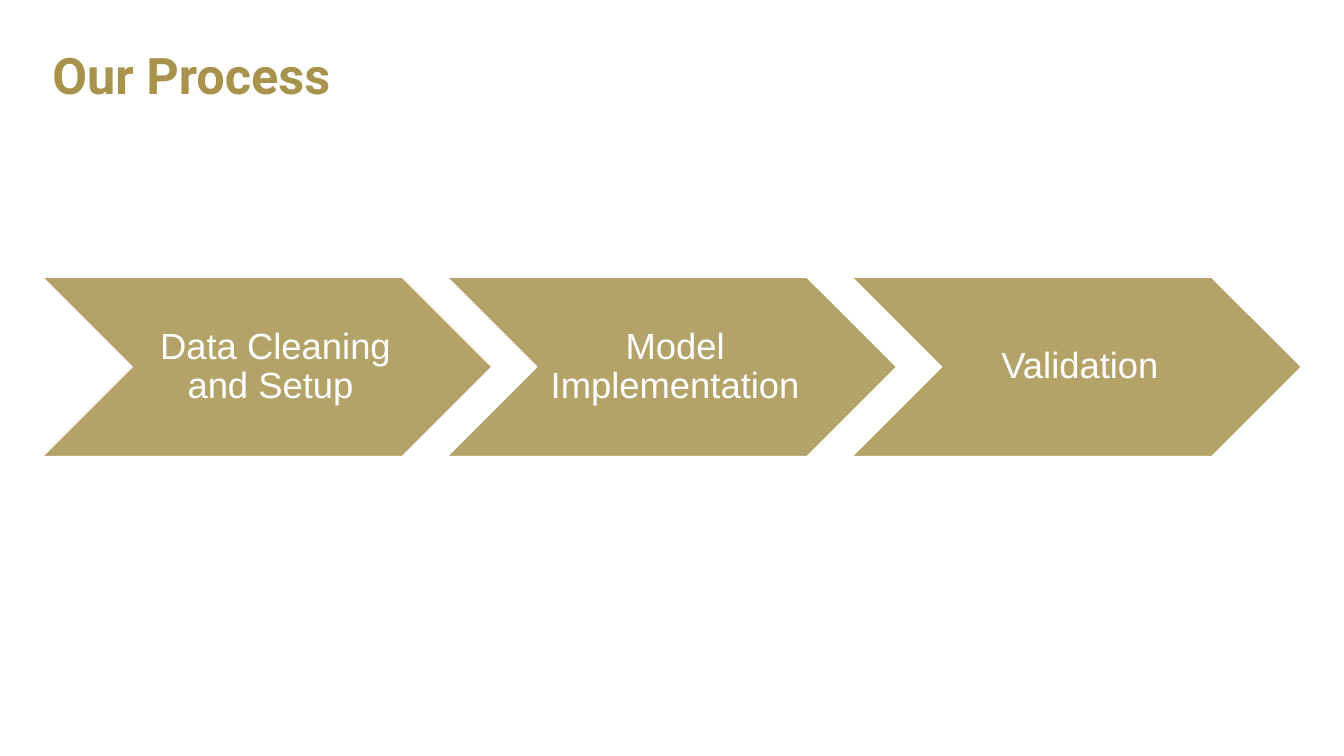
"""Build the "Our Process" slide: a title above a row of three chevrons."""
from pptx import Presentation
from pptx.dml.color import RGBColor
from pptx.enum.shapes import MSO_SHAPE
from pptx.enum.text import MSO_ANCHOR, PP_ALIGN
from pptx.util import Inches, Pt

TITLE = "Our Process"
STEPS = [" Data Cleaning and Setup", "Model Implementation", "Validation"]

DARK_GOLD = RGBColor(0xA7, 0x93, 0x4B)
GOLD = RGBColor(0xB3, 0xA3, 0x69)
WHITE = RGBColor(0xFF, 0xFF, 0xFF)

TITLE_FONT = {"name": "Roboto", "size": Pt(36), "bold": True}
STEP_FONT = {"name": "Arial", "size": Pt(26), "bold": False}
TITLE_FRAME = {"word_wrap": True, "vertical_anchor": MSO_ANCHOR.MIDDLE}
STEP_FRAME = {
    **TITLE_FRAME,
    "margin_left": Inches(0.11),
    "margin_right": Inches(0.04),
    "margin_top": Inches(0.04),
    "margin_bottom": Inches(0.04),
}

LEFT, TOP, WIDTH, HEIGHT = 0.42, 2.75, 4.46, 1.78
PITCH = WIDTH * 0.9


def set_attrs(obj, values):
    """Set each named attribute of an object."""
    for name, value in values.items():
        setattr(obj, name, value)


def write(sp, text, frame, font, color, align):
    """Put one formatted paragraph into a shape."""
    tf = sp.text_frame
    set_attrs(tf, frame)
    p = tf.paragraphs[0]
    set_attrs(p, {"alignment": align, "line_spacing": 0.9})
    r = p.add_run()
    r.text = text
    set_attrs(r.font, font)
    r.font.color.rgb = color


def main():
    """Create and save the presentation."""
    prs = Presentation()
    prs.slide_width, prs.slide_height = Inches(13.33), Inches(7.5)
    s = prs.slides.add_slide(prs.slide_layouts[5])

    title = s.shapes.title
    set_attrs(title, {"left": Inches(LEFT), "top": Inches(0.22),
                      "width": Inches(12.5), "height": Inches(1.11)})
    write(title, TITLE, TITLE_FRAME, TITLE_FONT, DARK_GOLD, PP_ALIGN.LEFT)

    for i, step in enumerate(STEPS):
        sp = s.shapes.add_shape(MSO_SHAPE.CHEVRON, Inches(LEFT + i * PITCH),
                                Inches(TOP), Inches(WIDTH), Inches(HEIGHT))
        sp.shadow.inherit = False
        sp.fill.solid()
        sp.fill.fore_color.rgb = GOLD
        sp.line.color.rgb = WHITE
        sp.line.width = Pt(1)
        write(sp, step, STEP_FRAME, STEP_FONT, WHITE, PP_ALIGN.CENTER)

    prs.save("out.pptx")


if __name__ == "__main__":
    main()
